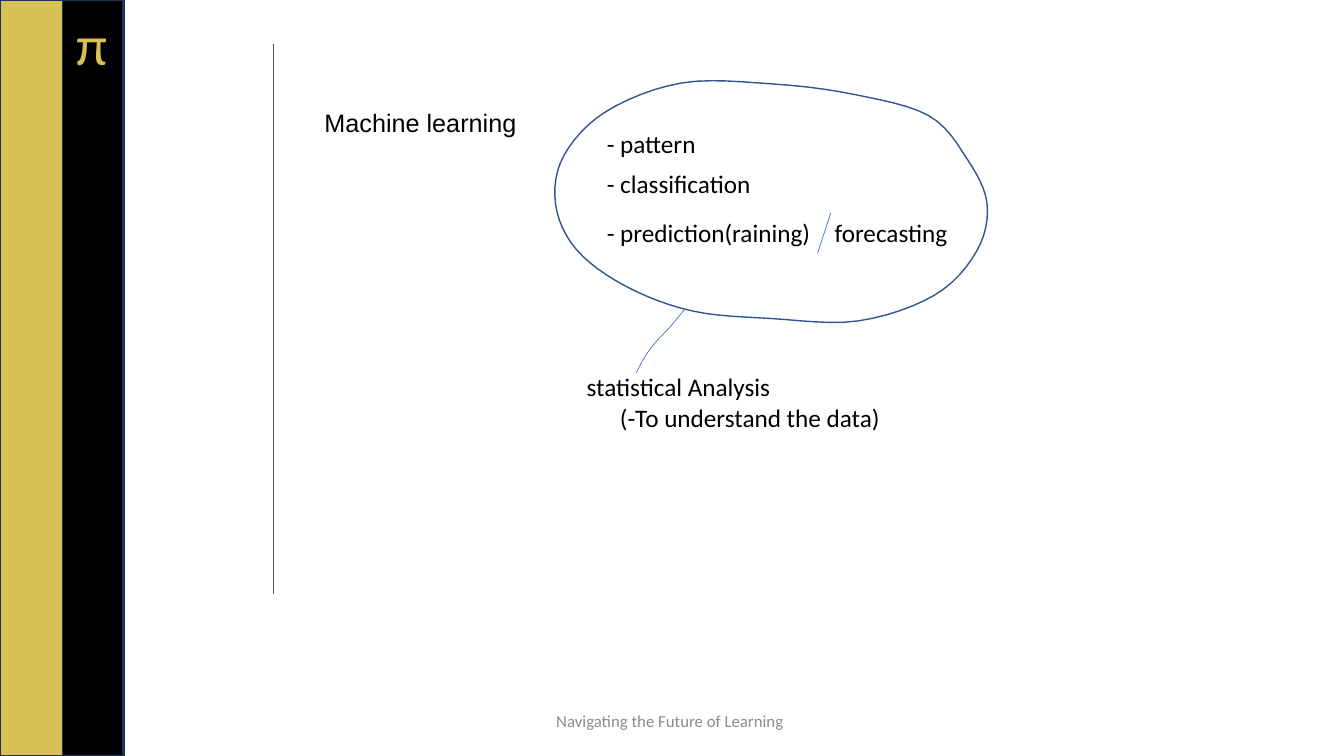
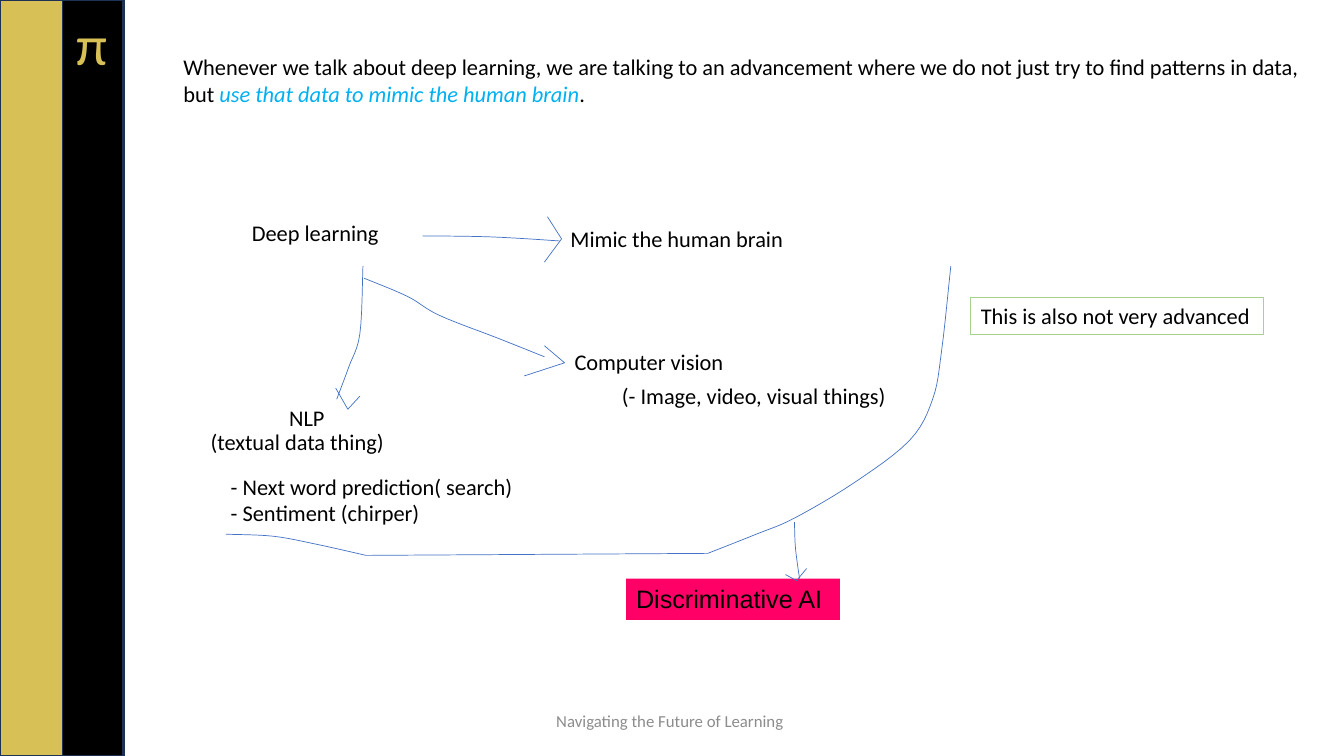
from itertools import pairwise
from math import cos, pi, sin

from lxml import etree
from pptx import Presentation
from pptx.dml.color import RGBColor
from pptx.enum.shapes import MSO_CONNECTOR, MSO_SHAPE
from pptx.enum.text import MSO_ANCHOR, MSO_AUTO_SIZE, PP_ALIGN
from pptx.oxml.ns import qn
from pptx.util import Inches, Pt

# Shared look, lengths in inches
WIDTH, HEIGHT = 13.33, 7.5
BODY, DISPLAY = "Calibri", "Arial"
GOLD, BLACK, NAVY, GREY = "D7C055", "000000", "1E3256", "8C8C8C"
INK, BUBBLE, RULE = "4472C4", "325491", "595959"
CYAN, GREEN, PINK = "00B0F0", "A9D18E", "FF0066"
BAND = 0.62  # width of one side band
CURVE_STEPS = 6  # straight pieces between two anchors of a curve
FOOTER = "Navigating the Future of Learning"

# Machine learning: texts as (left, top, width, lines)
LEARNING_SIZE = 18
LIST_LEFT = 5.92
LEARNING_TITLE = (3.12, 1.02, 2.14, ["Machine learning"])
LEARNING_TEXTS = [
    (LIST_LEFT, 1.22, 1.1, ["- pattern"]),
    (LIST_LEFT, 1.62, 1.64, ["- classification"]),
    (LIST_LEFT, 2.11, 2.25, ["- prediction(raining)"]),
    (8.18, 2.11, 1.37, ["forecasting"]),
    (5.72, 3.63, 2.1, ["statistical Analysis"]),
    (6.05, 3.94, 2.81, ["(-To understand the data)"]),
]
MARGIN_RULE = (2.71, 0.44, 2.71, 5.89)
SLASH = (8.24, 2.11, 8.11, 2.51)

# The bubble is an ellipse whose radius swells and shrinks: one share of the
# radius per equal angle, clockwise from the right-hand end
BUBBLE_CENTRE, BUBBLE_RADII = (7.65, 2.02), (2.14, 1.2)
BUBBLE_SHARES = [1, 1.03, 1.07, 1.05, 0.95, 0.96, 0.96, 0.98,
                 1, 1.04, 1.08, 1.08, 0.99, 0.98, 1.03, 0.98]
BUBBLE_TAIL = [(6.79, 3.07), (6.64, 3.25), (6.49, 3.41), (6.39, 3.55),
               (6.31, 3.7)]

# Deep learning
DEEP_SIZE = 16
DEEP_LEAD = [
    ("Whenever we talk about deep learning, we are talking to an advancement "
     "where we do not just try to find patterns in data, but ", BLACK, False),
    ("use that data to mimic the human brain", CYAN, True),
    (".", BLACK, False),
]
DEEP_TEXTS = [
    (2.4, 2.13, 1.52, ["Deep learning"]),
    (5.56, 2.18, 2.33, ["Mimic the human brain"]),
    (5.6, 3.4, 1.7, ["Computer vision"]),
    (6.07, 3.74, 2.85, ["(- Image, video, visual things)"]),
    (2.77, 3.96, 0.56, ["NLP"]),
    (1.99, 4.2, 1.94, ["(textual data thing)"]),
    (2.19, 4.64, 3.05, ["- Next word prediction( search)",
                        "- Sentiment (chirper)"]),
]
NOT_ADVANCED = (9.63, 2.95, 2.9, ["This is also not very advanced"])
DISCRIMINATIVE = (6.21, 5.74, 2.12, ["Discriminative AI"])

# Arrows: anchors of the shaft, the tip, and both wings as offsets from it
ARROWS = {
    "human brain": ([(4.19, 2.34), (4.87, 2.35), (5.55, 2.39)],
                    (5.57, 2.37), [(-0.14, -0.22), (-0.17, 0.23)]),
    "NLP": ([(3.6, 2.64), (3.57, 3.31), (3.46, 3.64), (3.34, 3.96)],
            (3.45, 4.06), [(-0.12, -0.21), (0.12, -0.13)]),
    "computer vision": ([(3.61, 2.76), (4.04, 2.94), (4.36, 3.13),
                         (4.95, 3.36), (5.4, 3.54)],
                        (5.6, 3.6), [(-0.2, -0.17), (-0.4, 0.13)]),
    "discriminative": ([(7.88, 5.18), (7.89, 5.44), (7.93, 5.74)],
                       (7.9, 5.76), [(0.1, -0.12), (-0.11, -0.06)]),
}

# The sweep under all branches: two curves with a straight run between
SWEEP_START = [(2.24, 5.3), (2.71, 5.32), (3.14, 5.4), (3.63, 5.51)]
SWEEP_RISE = [(7.02, 5.49), (7.5, 5.3), (7.88, 5.14), (8.47, 4.79),
              (9.02, 4.37), (9.25, 3.96), (9.34, 3.47), (9.43, 2.64)]


def rgb(value):
    return RGBColor.from_string(value)


# Geometry
def blend(before, start, end, after, t):
    """Catmull-Rom value between start and end, at share t of the way."""
    return start + t / 2 * (
        end - before
        + t * (2 * before - 5 * start + 4 * end - after)
        + t * t * (3 * (start - end) + after - before))


def curve(anchors, closed=False):
    """Points of a smooth curve through the anchors."""
    if closed:
        padded = [anchors[-1], *anchors, *anchors[:2]]
    else:
        padded = [anchors[0], *anchors, anchors[-1]]
    points = [anchors[0]]
    for first in range(len(padded) - 3):
        xs, ys = zip(*padded[first:first + 4])
        for step in range(1, CURVE_STEPS + 1):
            t = step / CURVE_STEPS
            points.append((blend(*xs, t), blend(*ys, t)))
    return points


def bubble_outline():
    (centre_x, centre_y), (radius_x, radius_y) = BUBBLE_CENTRE, BUBBLE_RADII
    turn = 2 * pi / len(BUBBLE_SHARES)
    anchors = [(centre_x + share * radius_x * cos(number * turn),
                centre_y + share * radius_y * sin(number * turn))
               for number, share in enumerate(BUBBLE_SHARES)]
    return curve(anchors, closed=True)


def text_height(size, lines):
    return round(lines * size * 1.22 / 72 + 0.1, 2)


# Drawing
def style_shape(shape, fill=None, line=None, weight=1):
    shape.shadow.inherit = False
    if fill:
        shape.fill.solid()
        shape.fill.fore_color.rgb = rgb(fill)
    else:
        shape.fill.background()
    if line:
        shape.line.color.rgb = rgb(line)
        shape.line.width = Pt(weight)
    else:
        shape.line.fill.background()


def add_box(slide, left, top, width, height, **style):
    box = slide.shapes.add_shape(
        MSO_SHAPE.RECTANGLE, *map(Inches, (left, top, width, height)))
    style_shape(box, **style)
    return box


def add_run(paragraph, text, size, color, font, italic):
    run = paragraph.add_run()
    run.text = text
    run.font.name, run.font.size = font, Pt(size)
    run.font.color.rgb = rgb(color)
    run.font.italic = italic


def add_text(slide, left, top, width, lines, size, color=BLACK, font=BODY,
             wrap=False, align=PP_ALIGN.LEFT, box_style=None):
    """Each line is a string or a list of (text, color, italic) runs."""
    area = (left, top, width, text_height(size, len(lines)))
    if box_style:
        box = add_box(slide, *area, **box_style)
    else:
        box = slide.shapes.add_textbox(*map(Inches, area))
    frame = box.text_frame
    frame.word_wrap = wrap
    frame.auto_size = MSO_AUTO_SIZE.SHAPE_TO_FIT_TEXT
    frame.vertical_anchor = MSO_ANCHOR.TOP
    for index, line in enumerate(lines):
        paragraph = frame.add_paragraph() if index else frame.paragraphs[0]
        paragraph.alignment = align
        runs = [(line, color, False)] if isinstance(line, str) else line
        for text, run_color, italic in runs:
            add_run(paragraph, text, size, run_color, font, italic)


def add_line(slide, ends, color):
    line = slide.shapes.add_connector(
        MSO_CONNECTOR.STRAIGHT, *map(Inches, ends))
    line.line.color.rgb = rgb(color)
    line.line.width = Pt(0.5)
    etree.SubElement(line._element.spPr, qn("a:effectLst"))


def add_stroke(slide, points, color=INK, weight=0.5, closed=False):
    corners = [(Inches(x), Inches(y)) for x, y in points]
    builder = slide.shapes.build_freeform(*corners[0])
    builder.add_line_segments(
        [end for start, end in pairwise(corners) if start != end],
        close=closed)
    style_shape(builder.convert_to_shape(), line=color, weight=weight)


def add_arrow(slide, shaft, tip, wings):
    add_stroke(slide, curve(shaft))
    wing_ends = [(tip[0] + dx, tip[1] + dy) for dx, dy in wings]
    add_stroke(slide, [wing_ends[0], tip, wing_ends[1]])


# Slides
def add_frame_slide(deck):
    """Blank slide with the side bands, the symbol and the footer."""
    slide = deck.slides.add_slide(deck.slide_layouts[6])
    add_box(slide, 0, 0, 2 * BAND - 0.01, HEIGHT, fill=GOLD, line=NAVY)
    add_box(slide, BAND, 0, BAND - 0.02, HEIGHT, fill=BLACK, line=NAVY)
    add_text(slide, 0.66, 0.05, 0.48, ["π"], 40, GOLD, wrap=True)
    add_text(slide, (WIDTH - 4.54) / 2, 7, 4.5, [FOOTER], 12, GREY,
             wrap=True, align=PP_ALIGN.CENTER)
    return slide


def build_machine_learning(deck):
    slide = add_frame_slide(deck)
    add_line(slide, MARGIN_RULE, RULE)
    add_text(slide, *LEARNING_TITLE, LEARNING_SIZE, font=DISPLAY)
    for text in LEARNING_TEXTS:
        add_text(slide, *text, LEARNING_SIZE)
    add_line(slide, SLASH, INK)
    add_stroke(slide, bubble_outline(), BUBBLE, 1, closed=True)
    add_stroke(slide, curve(BUBBLE_TAIL))


def build_deep_learning(deck):
    slide = add_frame_slide(deck)
    add_text(slide, 1.72, 0.48, 11.28, [DEEP_LEAD], DEEP_SIZE, wrap=True)
    for text in DEEP_TEXTS:
        add_text(slide, *text, DEEP_SIZE)
    add_text(slide, *NOT_ADVANCED, DEEP_SIZE,
             box_style={"line": GREEN, "weight": 0.75})
    add_text(slide, *DISCRIMINATIVE, LEARNING_SIZE, font=DISPLAY,
             box_style={"fill": PINK})
    add_stroke(slide, curve(SWEEP_START) + curve(SWEEP_RISE))
    for shaft, tip, wings in ARROWS.values():
        add_arrow(slide, shaft, tip, wings)


def main():
    deck = Presentation()
    deck.slide_width, deck.slide_height = Inches(WIDTH), Inches(HEIGHT)
    build_machine_learning(deck)
    build_deep_learning(deck)
    deck.save("out.pptx")


if __name__ == "__main__":
    main()
